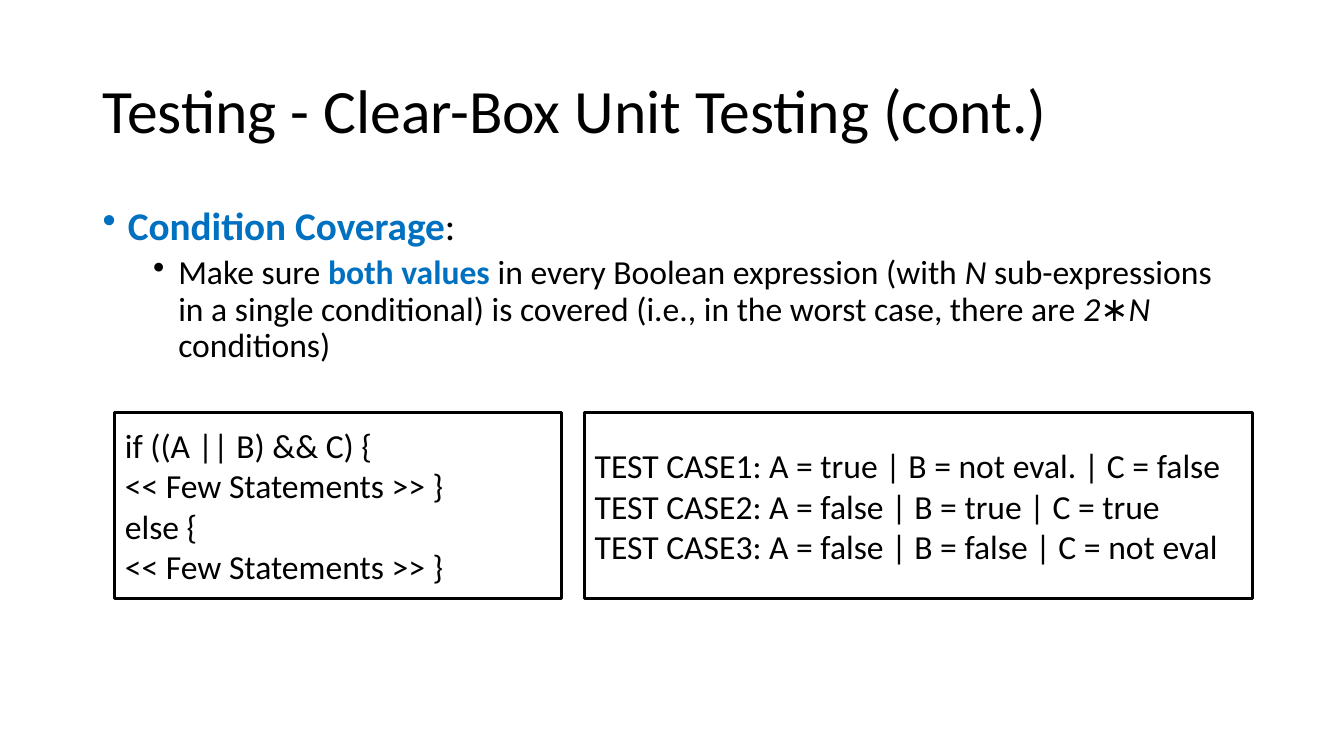
import dataclasses

import pptx
import pptx.dml.color
import pptx.enum.shapes
import pptx.enum.text
import pptx.oxml
import pptx.oxml.ns
import pptx.util

Inches = pptx.util.Inches
Anchor = pptx.enum.text.MSO_ANCHOR

FONT = "Calibri"
BLACK, WHITE, BLUE = "000000", "FFFFFF", "0070C0"
CODE_TOP, CODE_HEIGHT = 4.09, 1.85


@dataclasses.dataclass
class Span:
    text: str
    color: str = BLACK
    bold: bool = False
    italic: bool = False


@dataclasses.dataclass
class CodeBox:
    left: float
    width: float
    lines: list[str]


CODE_BOXES = [
    CodeBox(1.14, 4.43, [
        "if ((A || B) && C) {",
        "<< Few Statements >> }",
        "else {",
        "<< Few Statements >> }",
    ]),
    CodeBox(5.8, 6.62, [
        "TEST CASE1: A = true | B = not eval. | C = false",
        "TEST CASE2: A = false | B = true | C = true",
        "TEST CASE3: A = false | B = false | C = not eval",
    ]),
]

HEADING = [Span("Condition Coverage", BLUE, bold=True), Span(":")]
EXPLANATION = [
    Span("Make sure "),
    Span("both values ", BLUE, bold=True),
    Span("in every Boolean expression (with "),
    Span("N ", italic=True),
    Span("sub-expressions in a single conditional) is covered "
         "(i.e., in the worst case, there are "),
    Span("2∗N", italic=True),
    Span(" conditions)"),
]


def rgb(color: str) -> pptx.dml.color.RGBColor:
    return pptx.dml.color.RGBColor.from_string(color)


def add_bullet(para, indent: float) -> None:
    """Give the paragraph a hanging bullet with its text at the indent."""
    properties = para._p.get_or_add_pPr()
    properties.set("marL", str(Inches(indent)))
    properties.set("indent", str(Inches(-0.25)))
    bullet = pptx.oxml.parse_xml(
        f'<a:buChar {pptx.oxml.ns.nsdecls("a")} char="•"/>')
    properties.append(bullet)


def add_para(frame, spans: list[Span], *, size: float, first: bool = False,
             line_spacing: float = 1.0, space_before: float = 0,
             level: int = 0, bullet_indent: float | None = None) -> None:
    para = frame.paragraphs[0] if first else frame.add_paragraph()
    para.level = level
    para.alignment = pptx.enum.text.PP_ALIGN.LEFT
    if bullet_indent is not None:
        add_bullet(para, bullet_indent)
    para.line_spacing = line_spacing
    para.space_before = pptx.util.Pt(space_before)
    for span in spans:
        run = para.add_run()
        run.text = span.text
        run.font.name = FONT
        run.font.size = pptx.util.Pt(size)
        run.font.bold = span.bold
        run.font.italic = span.italic
        run.font.color.rgb = rgb(span.color)


def add_text_frame(page, top: float, height: float, anchor: Anchor):
    box = page.shapes.add_textbox(
        Inches(0.92), Inches(top), Inches(11.5), Inches(height))
    box.text_frame.word_wrap = True
    box.text_frame.vertical_anchor = anchor
    return box.text_frame


def add_code_box(page, code: CodeBox) -> None:
    box = page.shapes.add_shape(
        pptx.enum.shapes.MSO_SHAPE.RECTANGLE, Inches(code.left),
        Inches(CODE_TOP), Inches(code.width), Inches(CODE_HEIGHT))
    box.shadow.inherit = False
    box.fill.solid()
    box.fill.fore_color.rgb = rgb(WHITE)
    box.line.color.rgb = rgb(BLACK)
    box.line.width = pptx.util.Pt(2.25)
    box.text_frame.word_wrap = True
    box.text_frame.vertical_anchor = Anchor.MIDDLE
    for index, line in enumerate(code.lines):
        add_para(box.text_frame, [Span(line)], size=24, first=index == 0)


def main() -> None:
    deck = pptx.Presentation()
    deck.slide_width, deck.slide_height = Inches(13.33), Inches(7.5)
    page = deck.slides.add_slide(deck.slide_layouts[6])

    # Title
    title = add_text_frame(page, 0.4, 1.45, Anchor.MIDDLE)
    add_para(title, [Span("Testing - Clear-Box Unit Testing (cont.)")],
             size=44, first=True, line_spacing=0.9)

    # Bulleted explanation
    body = add_text_frame(page, 2, 4.76, Anchor.TOP)
    add_para(body, HEADING, size=28, first=True, line_spacing=0.9,
             bullet_indent=0.25)
    add_para(body, EXPLANATION, size=24, line_spacing=0.9, space_before=5,
             level=1, bullet_indent=0.75)

    # Code and its test cases
    for code in CODE_BOXES:
        add_code_box(page, code)

    deck.save("out.pptx")


if __name__ == "__main__":
    main()
